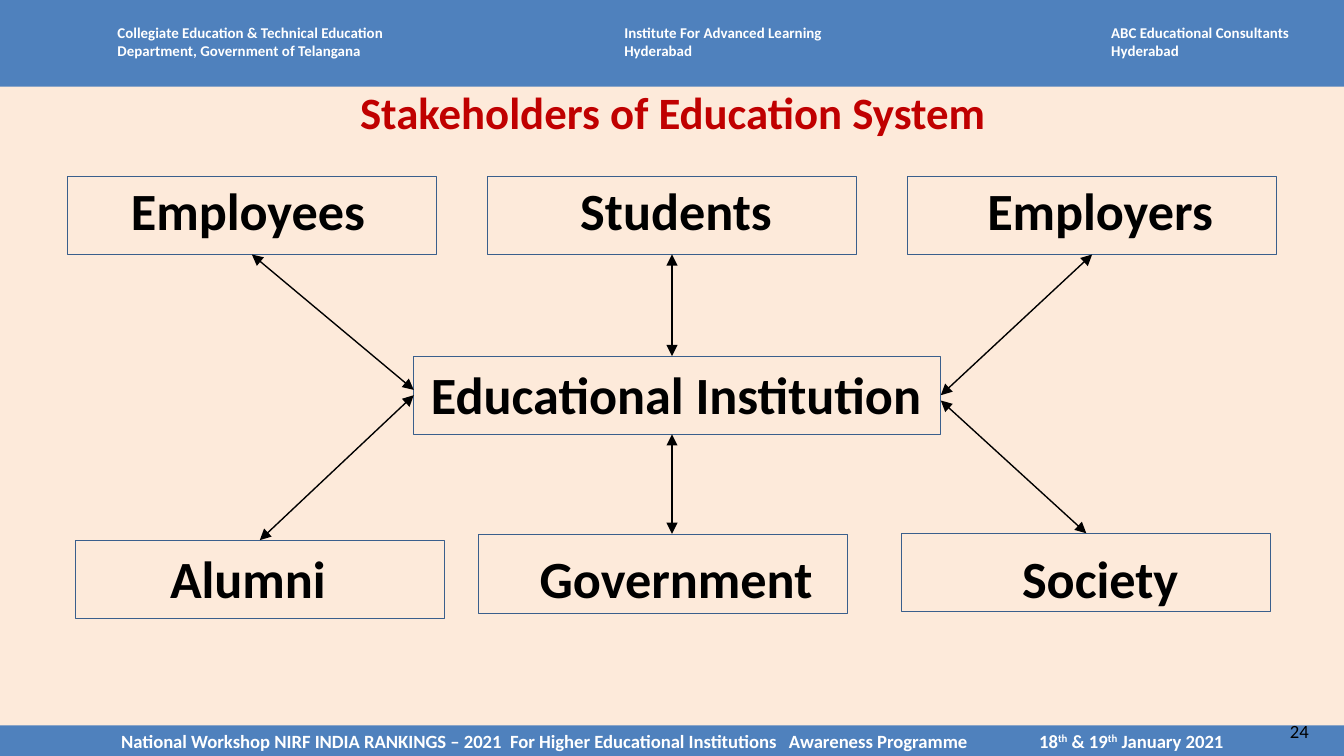
from lxml.etree import SubElement
from pptx import Presentation
from pptx.dml.color import RGBColor
from pptx.enum.shapes import MSO_CONNECTOR, MSO_SHAPE
from pptx.enum.text import MSO_ANCHOR, MSO_AUTO_SIZE, PP_ALIGN
from pptx.oxml.ns import qn
from pptx.util import Cm, Pt

BLUE, CREAM, RED, WHITE, BLACK = "4F81BD", "FDEADA", "C00000", "FFFFFF", "000000"
OUTLINE = "3A5F8C"
NO_STYLE_NO_GRID = "{2D5ABB26-0587-4C30-8999-92F81FD0307C}"
WIDTH, HEIGHT = 25.4, 14.29
BOX_WIDTH, BOX_HEIGHT = 6.98, 1.48


def color(hex_text):
    """Turn a hex string into a colour."""
    return RGBColor.from_string(hex_text)


def lengths(box):
    """Turn centimetre numbers into lengths."""
    return [Cm(value) for value in box]


def add_run(paragraph, text, size, hex_text, bold=True, raised=False):
    """Append one formatted run."""
    run = paragraph.add_run()
    run.text = text
    run.font.name = "Calibri"
    run.font.size = Pt(size)
    run.font.bold = bold
    run.font.color.rgb = color(hex_text)
    if raised:
        run.font._element.set("baseline", "30000")


def add_rectangle(slide, box, fill=None, line=None):
    """Draw a plain rectangle with an optional fill and outline."""
    shape = slide.shapes.add_shape(MSO_SHAPE.RECTANGLE, *lengths(box))
    shape.shadow.inherit = False
    if fill:
        shape.fill.solid()
        shape.fill.fore_color.rgb = color(fill)
    else:
        shape.fill.background()
    if line:
        shape.line.color.rgb = color(line)
        shape.line.width = Pt(0.5)
    else:
        shape.line.fill.background()
    return shape


def add_text(slide, box, lines, size, hex_text, bold=True):
    """Write left-aligned lines in a text box."""
    frame = slide.shapes.add_textbox(*lengths(box)).text_frame
    frame.word_wrap = True
    for index, line in enumerate(lines):
        paragraph = frame.add_paragraph() if index else frame.paragraphs[0]
        add_run(paragraph, line, size, hex_text, bold)


def add_header(slide, box):
    """Draw the top band with the three organisers."""
    left, top, _, _ = box
    add_rectangle(slide, box, fill=BLUE)
    organisers = [
        (1.97, 6, ["Collegiate Education & Technical Education",
                   "Department, Government of Telangana"]),
        (11.55, 5, ["Institute For Advanced Learning", "Hyderabad"]),
        (20.75, 4.5, ["ABC Educational Consultants", "Hyderabad"]),
    ]
    for offset, width, lines in organisers:
        add_text(slide, (left + offset, top + 0.33, width, 0.94), lines, 8, WHITE)


def add_footer(slide, box):
    """Draw the bottom band with the event, its date and the page number."""
    left, top, _, _ = box
    frame = add_rectangle(slide, box, fill=BLUE).text_frame
    frame.margin_left = Cm(2.29)
    frame.margin_right = frame.margin_top = frame.margin_bottom = 0
    frame.vertical_anchor = MSO_ANCHOR.MIDDLE
    frame.word_wrap = True
    paragraph = frame.paragraphs[0]
    paragraph.alignment = PP_ALIGN.LEFT
    tab_list = SubElement(paragraph._p.get_or_add_pPr(), qn("a:tabLst"))
    for position in (7.35, 12.62, 17.35):
        SubElement(tab_list, qn("a:tab"), pos=str(int(Cm(position))), algn="l")
    event = ["National Workshop NIRF INDIA RANKINGS – 2021",
             "For Higher Educational Institutions", "Awareness Programme", "18"]
    add_run(paragraph, "\t".join(event), 10, WHITE)
    for text, raised in (("th", True), (" & 19", False), ("th", True),
                         (" January 2021", False)):
        add_run(paragraph, text, 10, WHITE, raised=raised)
    add_text(slide, (left + 24.13, top - 0.23, 1.27, 0.69), ["24"], 10, BLACK, False)


def add_title(slide, box):
    """Place and format the title placeholder."""
    title = slide.shapes.title
    title.left, title.top, title.width, title.height = lengths(box)
    frame = title.text_frame
    frame.auto_size = MSO_AUTO_SIZE.NONE
    frame.vertical_anchor = MSO_ANCHOR.TOP
    frame.paragraphs[0].alignment = PP_ALIGN.LEFT
    add_run(frame.paragraphs[0], "Stakeholders of Education System", 24, RED)


def add_stakeholder_table(slide, box):
    """Lay out the stakeholder names in a table without borders."""
    names = [["Employees", "Students", "Employers"], [""] * 3,
             ["", "Educational Institution", ""], [""] * 3,
             ["Alumni", "Government", "Society"]]
    table = slide.shapes.add_table(len(names), 3, *lengths(box)).table
    table._tbl.tblPr.find(qn("a:tableStyleId")).text = NO_STYLE_NO_GRID
    table.first_row = table.horz_banding = False
    for column, width in zip(table.columns, (5.87, 10.31, 5.72)):
        column.width = Cm(width)
    for row, row_names in zip(table.rows, names):
        for cell, name in zip(row.cells, row_names):
            cell.fill.background()
            cell.margin_left = cell.margin_right = Cm(0.18)
            cell.margin_top = cell.margin_bottom = 0
            if name:
                paragraph = cell.text_frame.paragraphs[0]
                paragraph.alignment = PP_ALIGN.CENTER
                paragraph.line_spacing = 1.07
                paragraph.space_before = paragraph.space_after = Pt(12)
                add_run(paragraph, name, 28, BLACK)


def add_double_arrow(slide, start, end):
    """Draw a thin line with an arrowhead at both ends."""
    connector = slide.shapes.add_connector(
        MSO_CONNECTOR.STRAIGHT, *lengths(start + end))
    connector.line.color.rgb = color(BLACK)
    connector.line.width = Pt(0.75)
    outline = connector.line._get_or_add_ln()
    for tag in ("a:headEnd", "a:tailEnd"):
        SubElement(outline, qn(tag), type="triangle")
    SubElement(connector._element.spPr, qn("a:effectLst"))


def add_diagram(slide, box):
    """Draw the names, their frames and the arrows to the institution."""
    left, top, width, height = box
    add_stakeholder_table(slide, (left + 0.48, top, 21.89, 8.69))
    frames = [(0, 0), (7.94, 0), (15.88, 0), (0.15, 6.88), (7.77, 6.78), (15.77, 6.75)]
    for x, y in frames:
        add_rectangle(slide, (left + x, top + y, BOX_WIDTH, BOX_HEIGHT), line=OUTLINE)
    add_rectangle(slide, (left + 6.55, top + 3.4, 9.96, BOX_HEIGHT), line=OUTLINE)
    arrows = [((3.49, 1.48), (6.55, 4.04)), ((11.43, 1.48), (11.43, 3.4)),
              ((19.37, 1.48), (16.51, 4.14)), ((3.64, 6.88), (6.55, 4.14)),
              ((11.43, 4.88), (11.43, 6.76)), ((19.26, 6.75), (16.51, 4.24))]
    for start, end in arrows:
        add_double_arrow(slide, (left + start[0], top + start[1]),
                         (left + end[0], top + end[1]))


def build_presentation():
    """Build the slide and save it."""
    presentation = Presentation()
    presentation.slide_width, presentation.slide_height = Cm(WIDTH), Cm(HEIGHT)
    slide = presentation.slides.add_slide(presentation.slide_layouts[5])
    slide.background.fill.solid()
    slide.background.fill.fore_color.rgb = color(CREAM)
    add_header(slide, (0, 0, WIDTH, 1.64))
    add_footer(slide, (0, 13.71, WIDTH, 0.58))
    add_diagram(slide, (1.27, 3.33, 22.86, 8.69))
    add_title(slide, (6.55, 1.48, 13.13, 1.28))
    presentation.save("out.pptx")


build_presentation()
